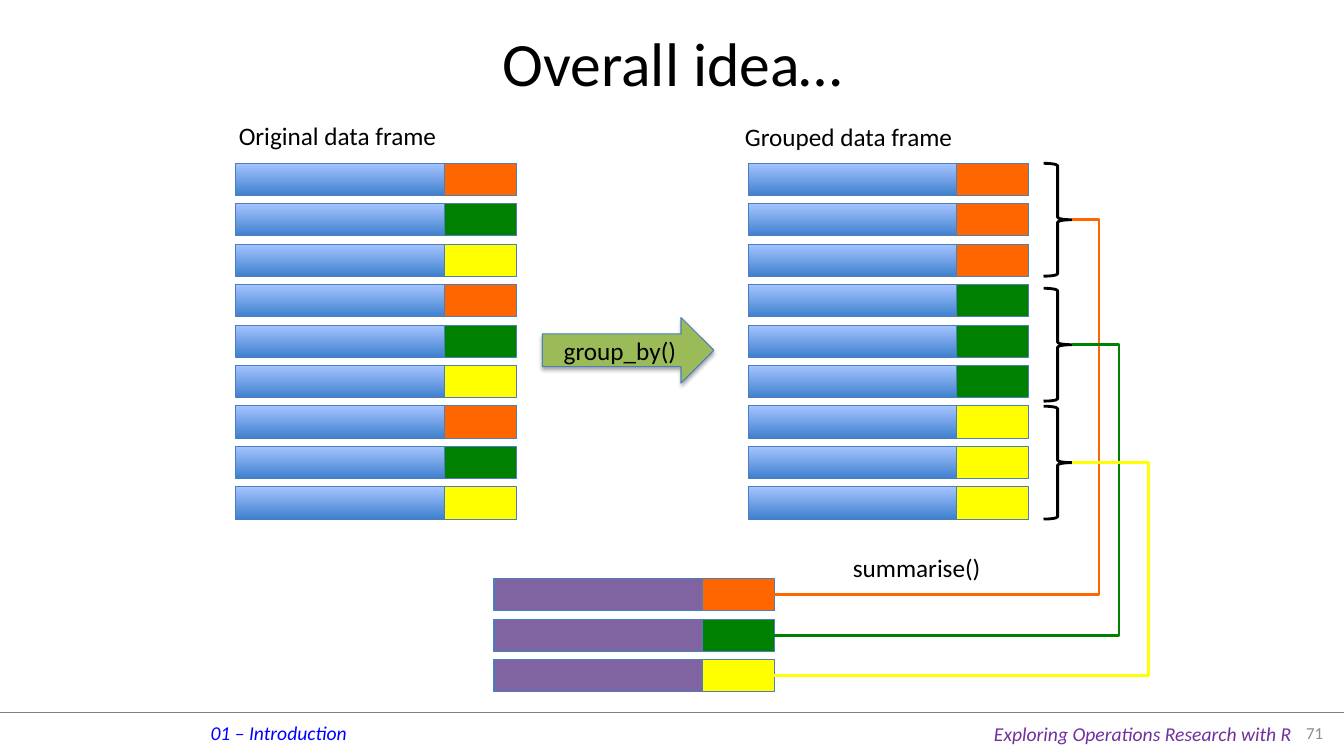
from lxml import etree
from pptx import Presentation
from pptx import util as u
from pptx.dml.color import RGBColor
from pptx.enum import shapes, text
from pptx.oxml import ns

BLACK = RGBColor(0, 0, 0)
GREY = RGBColor(0x80, 0x80, 0x80)
PALE = RGBColor(0x8C, 0x8C, 0x8C)
BLUE = RGBColor(0, 0, 0xFF)
VIOLET = RGBColor(0x70, 0x30, 0xA0)
EDGE = RGBColor(0x4B, 0x7E, 0xBC)
DEEP = RGBColor(0x3F, 0x80, 0xCE)
LIGHT = RGBColor(0xA4, 0xC4, 0xFF)
PURPLE = RGBColor(0x80, 0x64, 0xA2)
LIME = RGBColor(0x9B, 0xBB, 0x59)
ORANGE = RGBColor(0xFF, 0x66, 0)
GREEN = RGBColor(0, 0x80, 0)
YELLOW = RGBColor(0xFF, 0xFF, 0)

HUES = (ORANGE, GREEN, YELLOW)
TOP = 1.62
STEP = 3.21 / 8
BAR, KEY, HIGH = 2.07, 0.71, 0.32
KIND = shapes.MSO_SHAPE
ALIGN = text.PP_ALIGN
MIDDLE = text.MSO_ANCHOR.MIDDLE


def sub(node, tag, **attrs):
    """Add a DrawingML child to an element."""
    return etree.SubElement(node, ns.qn(tag), attrs)


class Board:
    """Holds the font and the current slide."""

    def __init__(self, deck, font):
        self.font = font
        self.slide = deck.slides.add_slide(deck.slide_layouts[5])

    def run(self, shape, words, size, color=BLACK, align=ALIGN.LEFT, italic=False):
        """Add a styled run to the first paragraph of a shape."""
        para = shape.text_frame.paragraphs[0]
        para.alignment = align
        run = para.add_run()
        run.text = words
        font = run.font
        font.name, font.size, font.italic = self.font, u.Pt(size), italic
        font.color.rgb = color

    def title(self, words, box):
        head = self.slide.shapes.title
        head.left, head.top, head.width, head.height = map(u.Inches, box)
        head.text_frame.vertical_anchor = MIDDLE
        self.run(head, words, 44, align=ALIGN.CENTER)

    def label(self, words, box, size=18, **style):
        note = self.slide.shapes.add_textbox(*map(u.Inches, box))
        note.text_frame.word_wrap = False
        self.run(note, words, size, **style)
        return note

    def shape(self, kind, box, fill=None, line=EDGE, width=0.75, pool=None):
        item = (pool or self.slide.shapes).add_shape(kind, *map(u.Inches, box))
        item.shadow.inherit = False
        if fill is None:
            item.fill.background()
        else:
            item.fill.solid()
            item.fill.fore_color.rgb = fill
        item.line.color.rgb = line
        item.line.width = u.Pt(width)
        return item

    def row(self, left, top, hue, fill=None):
        """Draw a bar and its key; without a fill the bar is shaded blue."""
        pool = self.slide.shapes.add_group_shape().shapes
        bar = self.shape(KIND.RECTANGLE, (left, top, BAR, HIGH), fill, pool=pool)
        if fill is None:
            bar.fill.gradient()
            bar.fill.gradient_angle = 90
            for stop, color in zip(bar.fill.gradient_stops, (DEEP, LIGHT)):
                stop.color.rgb = color
        self.shape(KIND.RECTANGLE, (left + BAR, top, KEY, HIGH), hue, pool=pool)

    def arrow(self, words, box):
        item = self.shape(KIND.RIGHT_ARROW, box, LIME)
        shade = sub(item.element.spPr.find(ns.qn("a:effectLst")), "a:outerShdw",
                    blurRad=str(u.Pt(3.1)), dist=str(u.Pt(1.8)),
                    dir="5400000", rotWithShape="0")
        tint = sub(shade, "a:srgbClr", val="000000")
        sub(tint, "a:alpha", val="35000")
        item.text_frame.vertical_anchor = MIDDLE
        self.run(item, words, 18, align=ALIGN.CENTER)

    def line(self, start, end, color, width, bend=None):
        """Draw a straight line, or an elbow whose upright stands at x = bend."""
        kinds = shapes.MSO_CONNECTOR
        kind = kinds.STRAIGHT if bend is None else kinds.ELBOW
        link = self.slide.shapes.add_connector(kind, *map(u.Inches, start + end))
        link.line.color.rgb = color
        link.line.width = u.Pt(width)
        props = link.element.spPr
        sub(props, "a:effectLst")
        if bend is not None:
            ratio = (bend - start[0]) / (end[0] - start[0])
            guides = props.find(ns.qn("a:prstGeom")).find(ns.qn("a:avLst"))
            sub(guides, "a:gd", name="adj1", fmla=f"val {round(ratio * 100000)}")


def main():
    deck = Presentation()
    deck.slide_width, deck.slide_height = u.Inches(13.33), u.Inches(7.5)
    board = Board(deck, "Calibri")

    board.line((0, 7.07), (13.33, 7.07), GREY, 0.25)
    board.label("01 – Introduction", (1.99, 7.1, 1.57, 0.34), 14,
                color=BLUE, italic=True)
    board.label("Exploring Operations Research with R", (9.76, 7.11, 3.18, 0.34), 14,
                color=VIOLET, italic=True)
    page = board.label("71", (12.67, 7.07, 0.55, 0.39), 12,
                       color=PALE, align=ALIGN.RIGHT)
    page.text_frame.word_wrap = True
    page.text_frame.vertical_anchor = MIDDLE
    board.title("Overall idea…", (2.17, -0.01, 9, 1.25))

    for i in range(9):
        top = TOP + i * STEP
        board.row(2.34, top, HUES[i % 3])
        board.row(7.42, top, HUES[i // 3])
    for i, hue in enumerate(HUES):
        board.row(4.9, 5.74 + i * STEP, hue, PURPLE)

    board.arrow("group_by()", (5.38, 3.15, 1.7, 0.65))
    braces = (1.62, 2.86, 4.03)
    for top in braces:
        board.shape(KIND.RIGHT_BRACE, (10.35, top, 0.28, 1.12), line=BLACK, width=2)
    for i, (top, bend) in enumerate(zip(braces, (10.9, 11.1, 11.39))):
        board.line((10.63, top + 0.56), (7.68, 5.9 + i * STEP), HUES[i], 2, bend)

    board.label("summarise()", (8.36, 5.43, 1.48, 0.4))
    board.label("Original data frame", (2.27, 1.14, 2.19, 0.4))
    board.label("Grouped data frame", (7.29, 1.15, 2.29, 0.4))
    deck.save("out.pptx")


if __name__ == "__main__":
    main()
